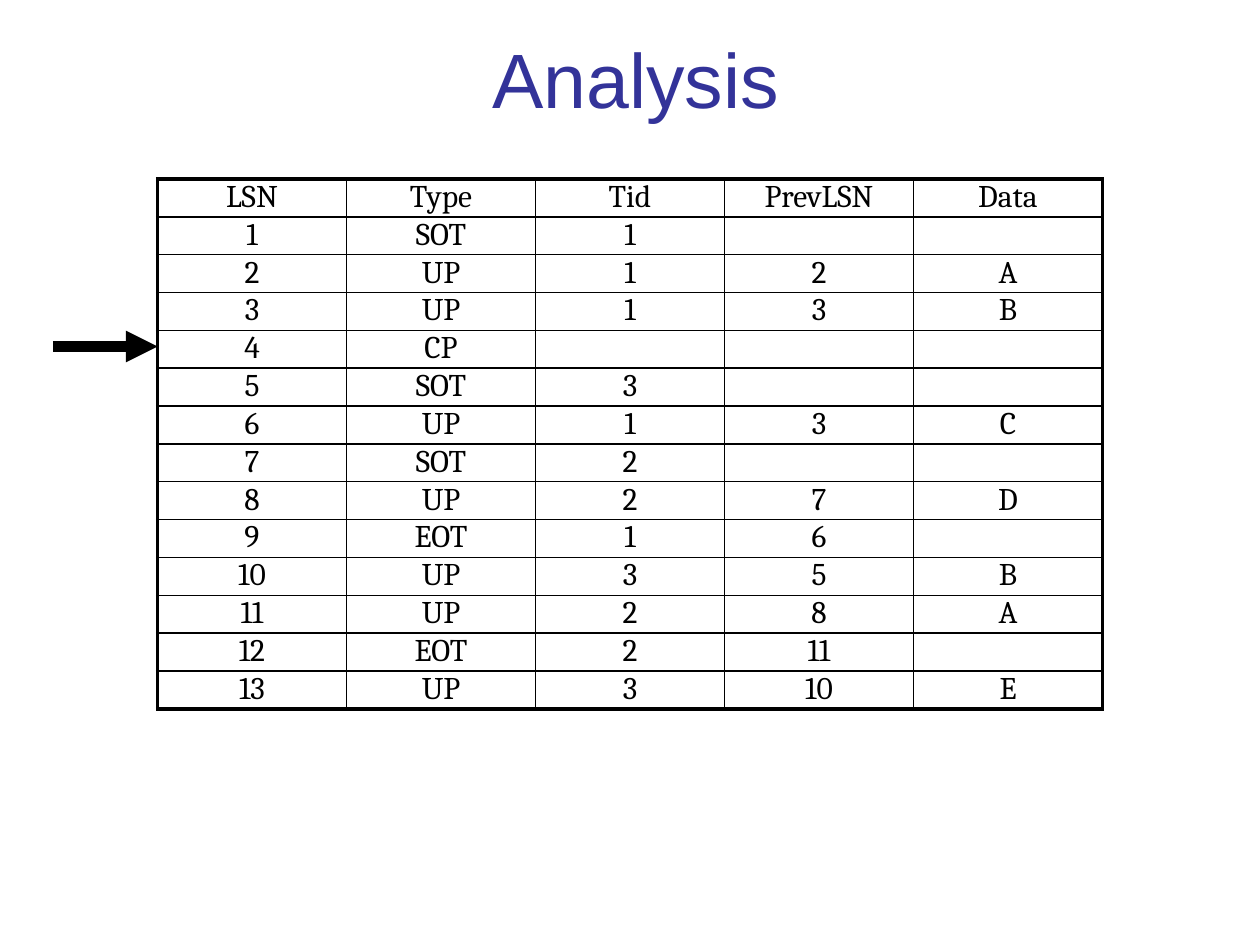
from lxml import etree
from pptx import Presentation
from pptx import util as u
from pptx.dml.color import RGBColor
from pptx.enum import shapes, text
from pptx.oxml.ns import qn

COLORS = {"title": "333399", "ink": "000000"}
THIN, THICK = 1, 2.25
LOG = [
    ("LSN", "Type", "Tid", "PrevLSN", "Data"),
    ("1", "SOT", "1", "", ""),
    ("2", "UP", "1", "2", "A"),
    ("3", "UP", "1", "3", "B"),
    ("4", "CP", "", "", ""),
    ("5", "SOT", "3", "", ""),
    ("6", "UP", "1", "3", "C"),
    ("7", "SOT", "2", "", ""),
    ("8", "UP", "2", "7", "D"),
    ("9", "EOT", "1", "6", ""),
    ("10", "UP", "3", "5", "B"),
    ("11", "UP", "2", "8", "A"),
    ("12", "EOT", "2", "11", ""),
    ("13", "UP", "3", "10", "E"),
]


def style(run, font, size, color):
    run.font.name = font
    run.font.size = u.Pt(size)
    run.font.color.rgb = RGBColor.from_string(COLORS[color])


def add_title(slide, left, top, width, height):
    box = slide.shapes.add_textbox(left, top, width, height)
    frame = box.text_frame
    frame.word_wrap = True
    frame.vertical_anchor = text.MSO_ANCHOR.MIDDLE
    frame.text = "Analysis"
    para = frame.paragraphs[0]
    para.alignment = text.PP_ALIGN.CENTER
    style(para.runs[0], "Arial", 44, "title")


def add_border(cell, side, width):
    """Draw one side of a cell; sides must come in the order L, R, T, B."""
    props = cell._tc.get_or_add_tcPr()
    line = etree.SubElement(props, qn(f"a:ln{side}"), w=str(u.Pt(width)))
    fill = etree.SubElement(line, qn("a:solidFill"))
    etree.SubElement(fill, qn("a:srgbClr"), val=COLORS["ink"])


def fill_cell(cell, value):
    cell.margin_left = cell.margin_right = u.Inches(0.05)
    cell.margin_top = cell.margin_bottom = 0
    para = cell.text_frame.paragraphs[0]
    para.alignment = text.PP_ALIGN.CENTER
    run = para.add_run()
    run.text = value
    style(run, "Cambria", 18, "ink")


def add_log(slide, left, top, width, height):
    rows, cols = len(LOG), len(LOG[0])
    frame = slide.shapes.add_table(rows, cols, left, top, width, height)
    table = frame.table
    table.first_row = table.horz_banding = False
    for r, record in enumerate(LOG):
        table.rows[r].height = height // rows
        for c, value in enumerate(record):
            cell = table.cell(r, c)
            fill_cell(cell, value)
            outer = {"L": c == 0, "R": c == cols - 1,
                     "T": r == 0, "B": r == rows - 1}
            for side, edge in outer.items():
                add_border(cell, side, THICK if edge else THIN)
            cell.fill.background()


def add_arrow(slide, left, right, y):
    arrow = slide.shapes.add_connector(
        shapes.MSO_CONNECTOR.STRAIGHT, left, y, right, y)
    arrow.line.width = u.Pt(6)
    arrow.line.color.rgb = RGBColor.from_string(COLORS["ink"])
    etree.SubElement(arrow.line._get_or_add_ln(), qn("a:tailEnd"),
                     type="triangle")
    etree.SubElement(arrow._element.spPr, qn("a:effectLst"))


def main():
    deck = Presentation()
    deck.slide_width, deck.slide_height = u.Inches(10), u.Inches(7.5)
    slide = deck.slides.add_slide(deck.slide_layouts[6])
    add_title(slide, u.Inches(0.42), u.Inches(0.08),
              u.Inches(9.25), u.Inches(1.08))
    add_log(slide, u.Inches(1.25), u.Inches(1.42),
            u.Inches(7.5), u.Inches(4.2))
    add_arrow(slide, u.Inches(0.42), u.Inches(1.25), u.Inches(2.75))
    deck.save("out.pptx")


if __name__ == "__main__":
    main()
